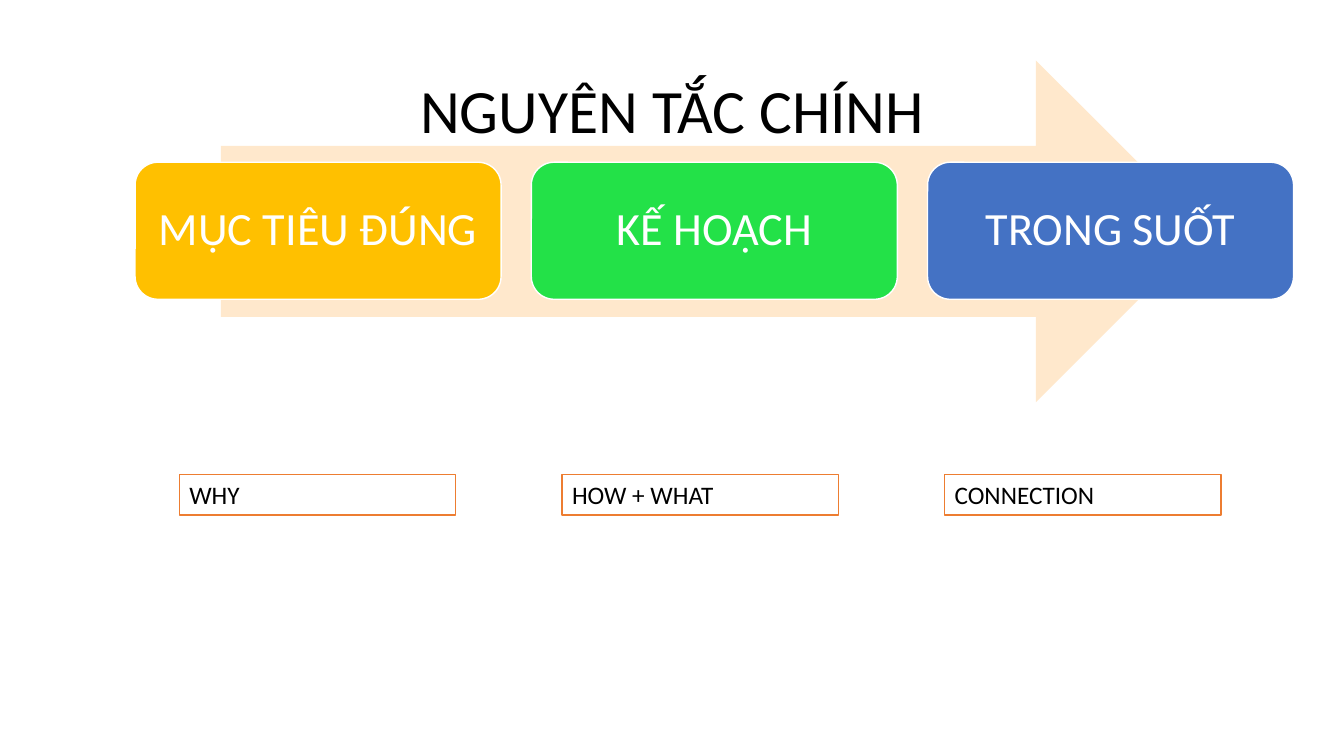
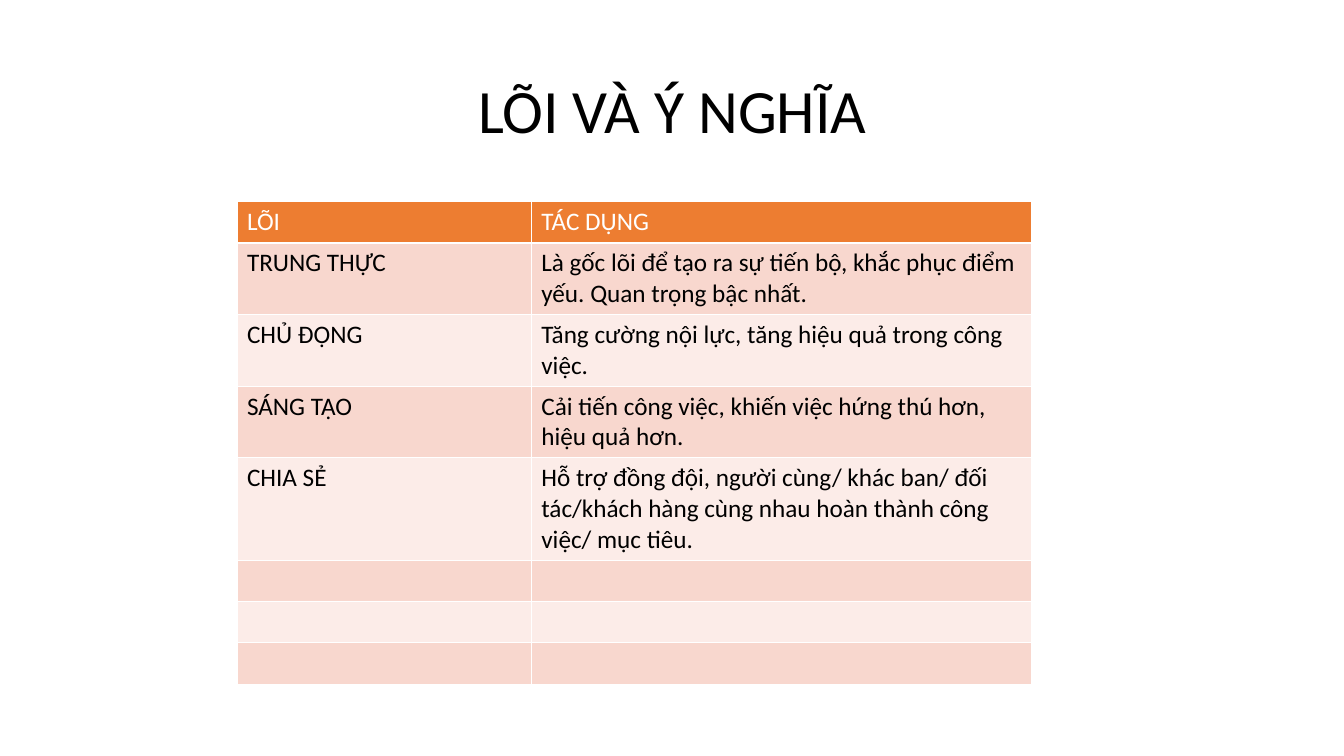
from collections import namedtuple

from lxml import etree
from pptx import Presentation
from pptx.dml.color import RGBColor
from pptx.enum.shapes import MSO_SHAPE as Shape
from pptx.enum.text import MSO_ANCHOR as Anchor, MSO_AUTO_SIZE as AutoSize, PP_ALIGN as Align
from pptx.oxml.ns import qn
from pptx.util import Pt

EMU_PER_PX = 9144
FONT = "Calibri"
COLORS = {
    "text": "000000",
    "white": "FFFFFF",
    "accent": "ED7D31",
    "arrow": "FFE8CC",
    "goal": "FFC000",
    "plan": "23E148",
    "clarity": "4472C4",
    "band_dark": "F8D7CE",
    "band_light": "FCECE8",
}

Box = namedtuple("Box", "left top width height")

SLIDE_SIZE = (1333, 750)
TITLE_BOX = Box(92, 40, 1150, 145)
ARROW_BOX = Box(219, 60, 978, 339)
STEPS_BOX = Box(134, 161, 1149, 136)
LABELS_BOX = Box(178, 471, 1033, 40)
TABLE_BOX = Box(235, 200, 788, 328)

STEPS = [("MỤC TIÊU ĐÚNG", "goal"), ("KẾ HOẠCH", "plan"), ("TRONG SUỐT", "clarity")]
LABELS = ["WHY", "HOW + WHAT", "CONNECTION"]
COLUMN_WIDTHS = [292, 496]
TABLE_ROWS = [
    ("LÕI", "TÁC DỤNG"),
    ("TRUNG THỰC", "Là gốc lõi để tạo ra sự tiến bộ, khắc phục điểm yếu. Quan trọng bậc nhất."),
    ("CHỦ ĐỘNG", "Tăng cường nội lực, tăng hiệu quả trong công việc."),
    ("SÁNG TẠO", "Cải tiến công việc, khiến việc hứng thú hơn, hiệu quả hơn."),
    ("CHIA SẺ", "Hỗ trợ đồng đội, người cùng/ khác ban/ đối tác/khách hàng "
                "cùng nhau hoàn thành công việc/ mục tiêu."),
    ("", ""),
    ("", ""),
    ("", ""),
]


def px(length):
    return round(length * EMU_PER_PX)


def color(name):
    return RGBColor.from_string(COLORS[name])


def split_columns(box, count, width):
    pitch = (box.width - width) / (count - 1)
    return [Box(box.left + index * pitch, box.top, width, box.height) for index in range(count)]


def write_text(frame, text, size, color_name, align=Align.LEFT, line_spacing=None):
    frame.text = text
    paragraph = frame.paragraphs[0]
    paragraph.alignment = align
    paragraph.line_spacing = line_spacing
    font = paragraph.font
    font.name = FONT
    font.size = Pt(size)
    font.bold = False
    font.color.rgb = color(color_name)


def add_box_shape(slide, kind, box, fill, line=None):
    shape = slide.shapes.add_shape(kind, *map(px, box))
    shape.shadow.inherit = False
    shape.fill.solid()
    shape.fill.fore_color.rgb = color(fill)
    if line:
        shape.line.color.rgb = color(line)
        shape.line.width = Pt(1)
    else:
        shape.line.fill.background()
    return shape


def add_titled_slide(presentation, text):
    slide = presentation.slides.add_slide(presentation.slide_layouts[5])
    title = slide.shapes.title
    title.left, title.top, title.width, title.height = map(px, TITLE_BOX)
    frame = title.text_frame
    frame.word_wrap = True
    frame.auto_size = AutoSize.NONE
    frame.vertical_anchor = Anchor.MIDDLE
    write_text(frame, text, 44, "text", Align.CENTER, 0.9)
    return slide


def add_labels(slide, box):
    for label, label_box in zip(LABELS, split_columns(box, len(LABELS), 274)):
        shape = add_box_shape(slide, Shape.RECTANGLE, label_box, "white", "accent")
        frame = shape.text_frame
        frame.word_wrap = True
        frame.vertical_anchor = Anchor.TOP
        write_text(frame, label, 18, "text")


def add_steps(slide, box):
    for (text, fill), step_box in zip(STEPS, split_columns(box, len(STEPS), 363)):
        shape = add_box_shape(slide, Shape.ROUNDED_RECTANGLE, step_box, fill, "white")
        frame = shape.text_frame
        frame.word_wrap = True
        frame.vertical_anchor = Anchor.MIDDLE
        frame.margin_left = frame.margin_right = px(14)
        frame.margin_top = frame.margin_bottom = px(14)
        write_text(frame, text, 33, "white", Align.CENTER, 0.9)


def set_cell_borders(cell, color_name, width):
    properties = cell._tc.get_or_add_tcPr()
    for index, side in enumerate(("a:lnL", "a:lnR", "a:lnT", "a:lnB")):
        line = etree.Element(qn(side), w=str(Pt(width)))
        fill = etree.SubElement(line, qn("a:solidFill"))
        etree.SubElement(fill, qn("a:srgbClr"), val=COLORS[color_name])
        properties.insert(index, line)


def row_fill(index):
    if index == 0:
        return "accent"
    return "band_dark" if index % 2 else "band_light"


def add_values_table(slide, box):
    frame = slide.shapes.add_table(len(TABLE_ROWS), len(COLUMN_WIDTHS), *map(px, box))
    table = frame.table
    table.first_row = False
    table.horz_banding = False
    for column, width in zip(table.columns, COLUMN_WIDTHS):
        column.width = px(width)
    for index, (row, texts) in enumerate(zip(table.rows, TABLE_ROWS)):
        row.height = px(box.height / len(TABLE_ROWS))
        for cell, text in zip(row.cells, texts):
            cell.fill.solid()
            cell.fill.fore_color.rgb = color(row_fill(index))
            set_cell_borders(cell, "white", 1)
            write_text(cell.text_frame, text, 18, "text" if index else "white")


def add_principles_slide(presentation):
    slide = add_titled_slide(presentation, "NGUYÊN TẮC CHÍNH")
    add_labels(slide, LABELS_BOX)
    add_box_shape(slide, Shape.RIGHT_ARROW, ARROW_BOX, "arrow")
    add_steps(slide, STEPS_BOX)


def add_values_slide(presentation):
    slide = add_titled_slide(presentation, "LÕI VÀ Ý NGHĨA")
    add_values_table(slide, TABLE_BOX)


def main():
    presentation = Presentation()
    presentation.slide_width, presentation.slide_height = map(px, SLIDE_SIZE)
    add_principles_slide(presentation)
    add_values_slide(presentation)
    presentation.save("out.pptx")


if __name__ == "__main__":
    main()
